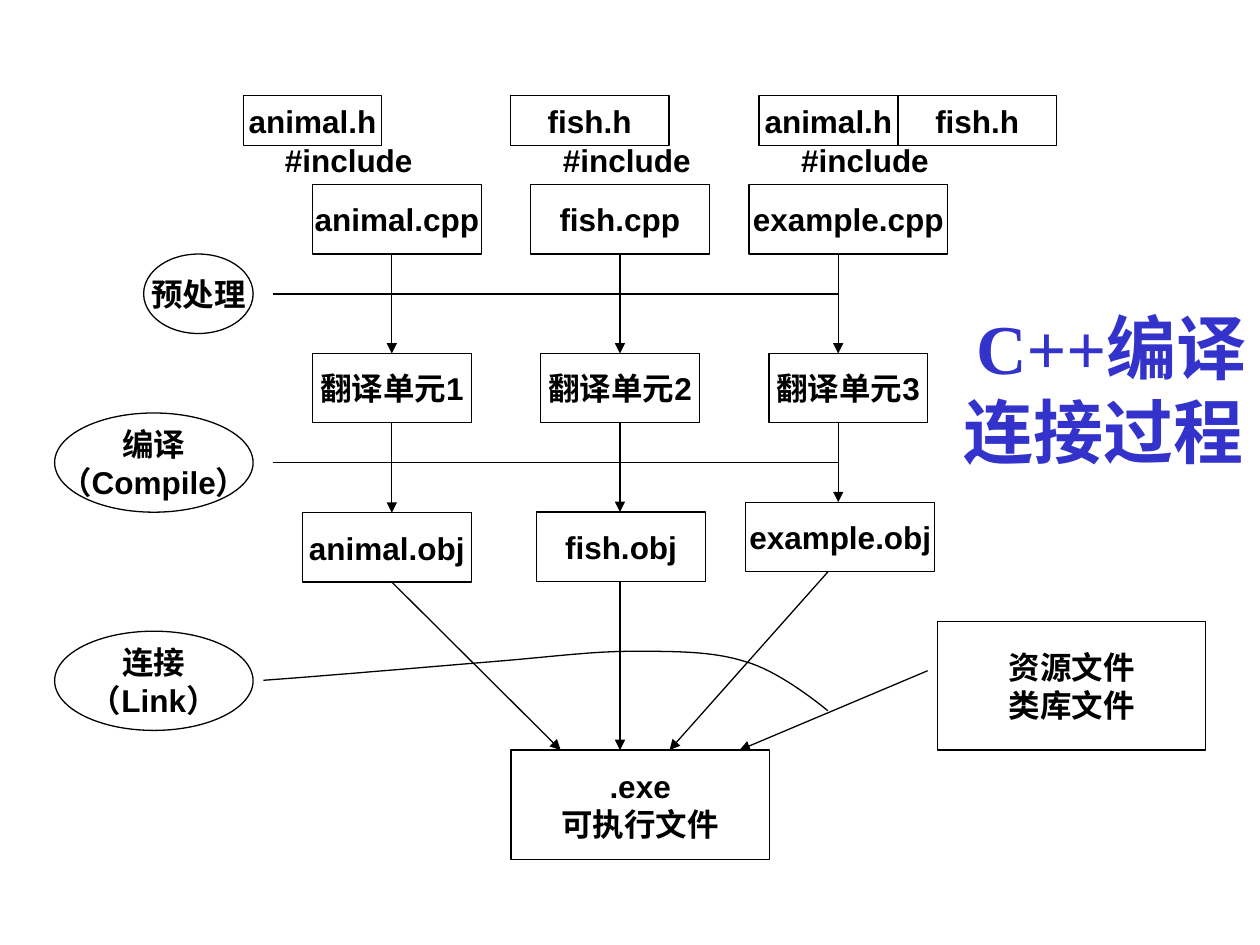
from dataclasses import dataclass

from lxml.etree import SubElement
from pptx import Presentation
from pptx.dml.color import RGBColor
from pptx.enum.shapes import MSO_CONNECTOR as Connector, MSO_SHAPE as Preset
from pptx.enum.text import MSO_ANCHOR as Anchor, MSO_AUTO_SIZE as AutoSize, PP_ALIGN as Align
from pptx.oxml.ns import qn
from pptx.util import Pt


@dataclass(frozen=True)
class Theme:
    ink: RGBColor = RGBColor(0x00, 0x00, 0x00)
    heading: RGBColor = RGBColor(0x33, 0x33, 0xCC)
    body_font: str = "Arial"
    heading_font: str = "Times New Roman"
    body_size: float = 18
    heading_size: float = 40
    line: float = 0.75


THEME = Theme()


def write(frame, lines, align=Align.CENTER, font=THEME.body_font,
          size=THEME.body_size, color=THEME.ink):
    for index, line in enumerate(lines):
        paragraph = frame.add_paragraph() if index else frame.paragraphs[0]
        paragraph.alignment = align
        run = paragraph.add_run()
        run.text = line
        run.font.name = font
        run.font.size = Pt(size)
        run.font.bold = True
        run.font.color.rgb = color


def ink_line(line):
    line.color.rgb = THEME.ink
    line.width = Pt(THEME.line)


def add_node(slide, left, top, width, height, *lines, preset=Preset.RECTANGLE):
    node = slide.shapes.add_shape(preset, Pt(left), Pt(top), Pt(width), Pt(height))
    node.shadow.inherit = False
    node.fill.background()
    ink_line(node.line)
    node.text_frame.word_wrap = False
    node.text_frame.vertical_anchor = Anchor.MIDDLE
    write(node.text_frame, lines)


def add_line(slide, start, end, arrow=False):
    link = slide.shapes.add_connector(Connector.STRAIGHT, *map(Pt, start + end))
    ink_line(link.line)
    properties = link._element.spPr
    if arrow:
        SubElement(properties.find(qn("a:ln")), qn("a:tailEnd"), type="triangle")
    SubElement(properties, qn("a:effectLst"))


def add_include(slide, left):
    label = slide.shapes.add_textbox(Pt(left), Pt(77), Pt(90.7), Pt(28.8))
    label.text_frame.word_wrap = True
    write(label.text_frame, ["#include"], Align.LEFT)


def bezier(points, t):
    weights = ((1 - t) ** 3, 3 * t * (1 - t) ** 2, 3 * t ** 2 * (1 - t), t ** 3)
    return tuple(Pt(sum(w * p[axis] for w, p in zip(weights, points))) for axis in (0, 1))


def add_curve(slide, start, segments, steps=16):
    builder = slide.shapes.build_freeform(*map(Pt, start))
    for segment in segments:
        controls = (start, *segment)
        builder.add_line_segments(
            [bezier(controls, step / steps) for step in range(1, steps + 1)], close=False)
        start = segment[-1]
    curve = builder.convert_to_shape()
    curve.shadow.inherit = False
    curve.fill.background()
    ink_line(curve.line)


def add_title(slide):
    title = slide.shapes.title
    title.left, title.top, title.width, title.height = map(Pt, (541.4, 179.3, 187.2, 85))
    frame = title.text_frame
    frame.word_wrap = True
    frame.auto_size = AutoSize.NONE
    frame.vertical_anchor = Anchor.MIDDLE
    write(frame, ["C++编译 连接过程 "], font=THEME.heading_font,
          size=THEME.heading_size, color=THEME.heading)


def main():
    deck = Presentation()
    deck.slide_width, deck.slide_height = Pt(720), Pt(540)
    slide = deck.slides.add_slide(deck.slide_layouts[5])
    add_title(slide)

    # Header files and the includes below them
    for left, width, name in ((139, 79.2, "animal.h"), (291.6, 90.7, "fish.h"),
                              (433.7, 79.4, "animal.h"), (513.1, 90.7, "fish.h")):
        add_node(slide, left, 54.7, width, 28.3, name)
    for left in (155.7, 314.6, 450.7):
        add_include(slide, left)

    # One column per source file: source, translation unit, object file
    source_top, unit_top, box_height = 105.5, 202, 39.6
    columns = (
        # name, flow x, source left and width, object left, top and width
        ("animal", 223.9, 178.6, 96.5, 172.8, 293, 96.5),
        ("fish", 354.3, 303.1, 102.2, 306.7, 292.6, 96.5),
        ("example", 479, 428, 113.4, 426.2, 287, 108),
    )
    for number, column in enumerate(columns, 1):
        name, flow, source_left, source_width, object_left, object_top, object_width = column
        add_node(slide, source_left, source_top, source_width, box_height, f"{name}.cpp")
        add_node(slide, 178.6 + 130.4 * (number - 1), unit_top, 90.7, box_height,
                 f"翻译单元{number}")
        add_node(slide, object_left, object_top, object_width, box_height, f"{name}.obj")
        add_line(slide, (flow, source_top + box_height), (flow, unit_top), arrow=True)
        add_line(slide, (flow, unit_top + box_height), (flow, object_top), arrow=True)

    # Libraries and the executable, with the arrows that lead to it
    exe_top = 428.6
    add_node(slide, 535.7, 355, 153.4, 73.6, "资源文件", "类库文件")
    add_node(slide, 292, exe_top, 147.6, 62.6, ".exe", "可执行文件")
    for start, end_x in (((223.9, 332.6), 320.4), ((354.3, 332.2), 354.3),
                         ((473.3, 326.6), 382.6), ((530.1, 383.3), 422.6)):
        add_line(slide, start, (end_x, exe_top), arrow=True)

    # Stages and the lines that tie them to the flow
    add_node(slide, 82.1, 145.2, 62.6, 45.4, "预处理", preset=Preset.OVAL)
    add_node(slide, 31.2, 236, 113.4, 56.7, "编译", "（Compile）", preset=Preset.OVAL)
    add_node(slide, 31.2, 360.7, 113.4, 56.7, "连接", "（Link）", preset=Preset.OVAL)
    for y in (168, 264.3):
        add_line(slide, (155.8, y), (479, y))
    add_curve(slide, (150.5, 388.8), (
        ((198.7, 385.2), (247.7, 380.9), (283, 378)),
        ((318.2, 375.1), (338.4, 372.2), (362.2, 372.2)),
        ((385.9, 372.2), (407.5, 372.2), (425.5, 378)),
        ((444.2, 383), (466.6, 401), (473, 406.1)),
    ))

    deck.save("out.pptx")


if __name__ == "__main__":
    main()
